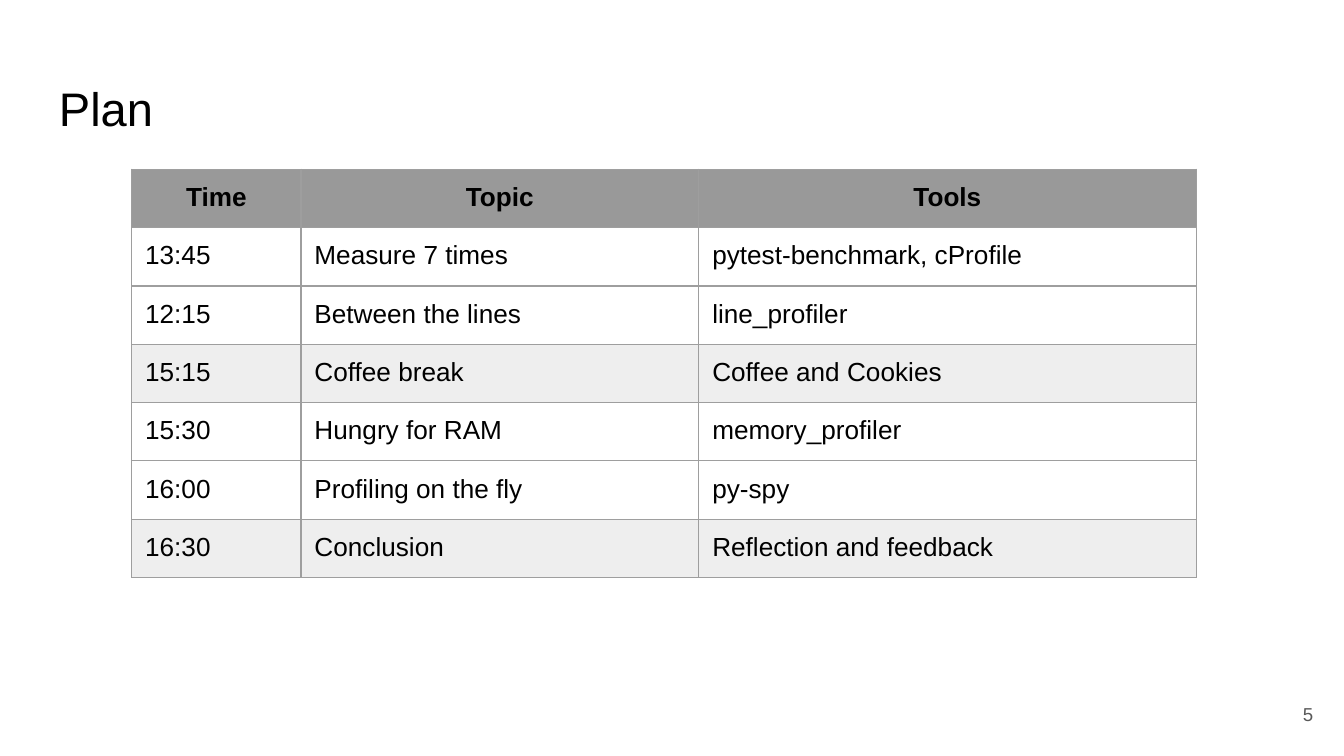
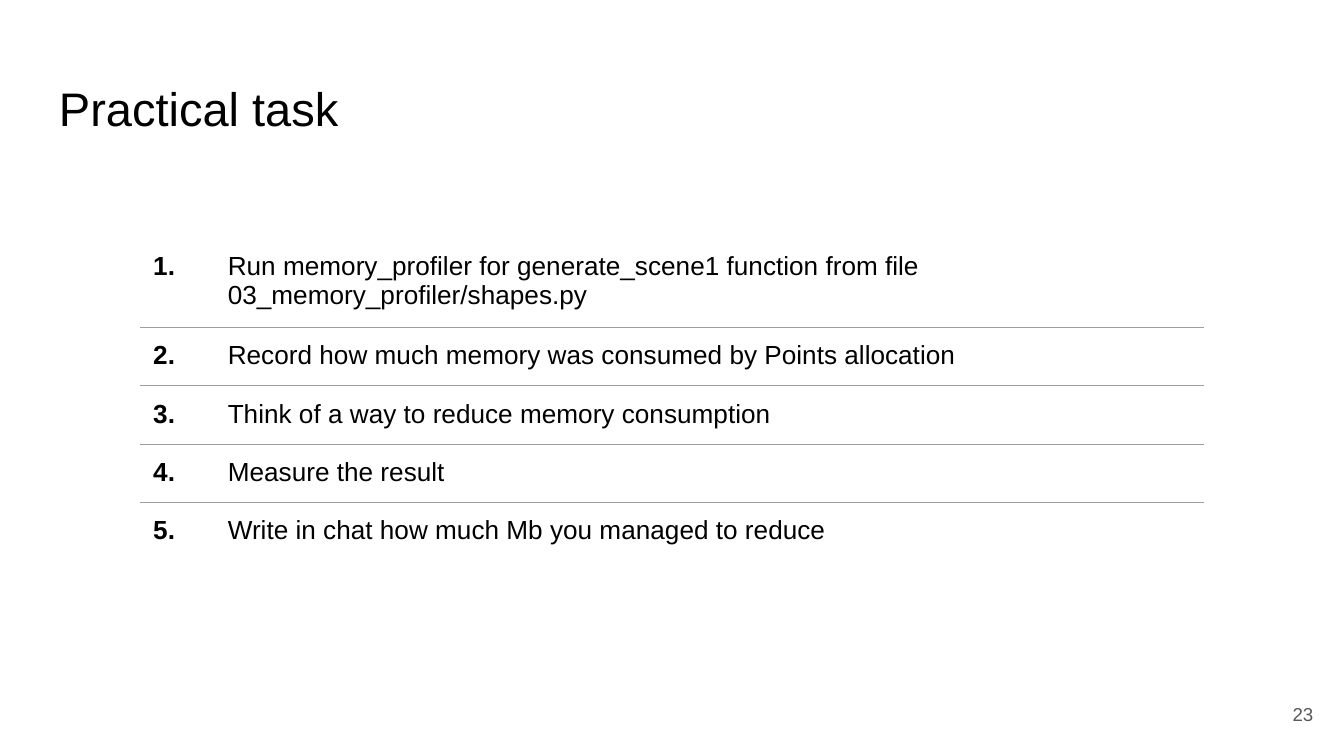
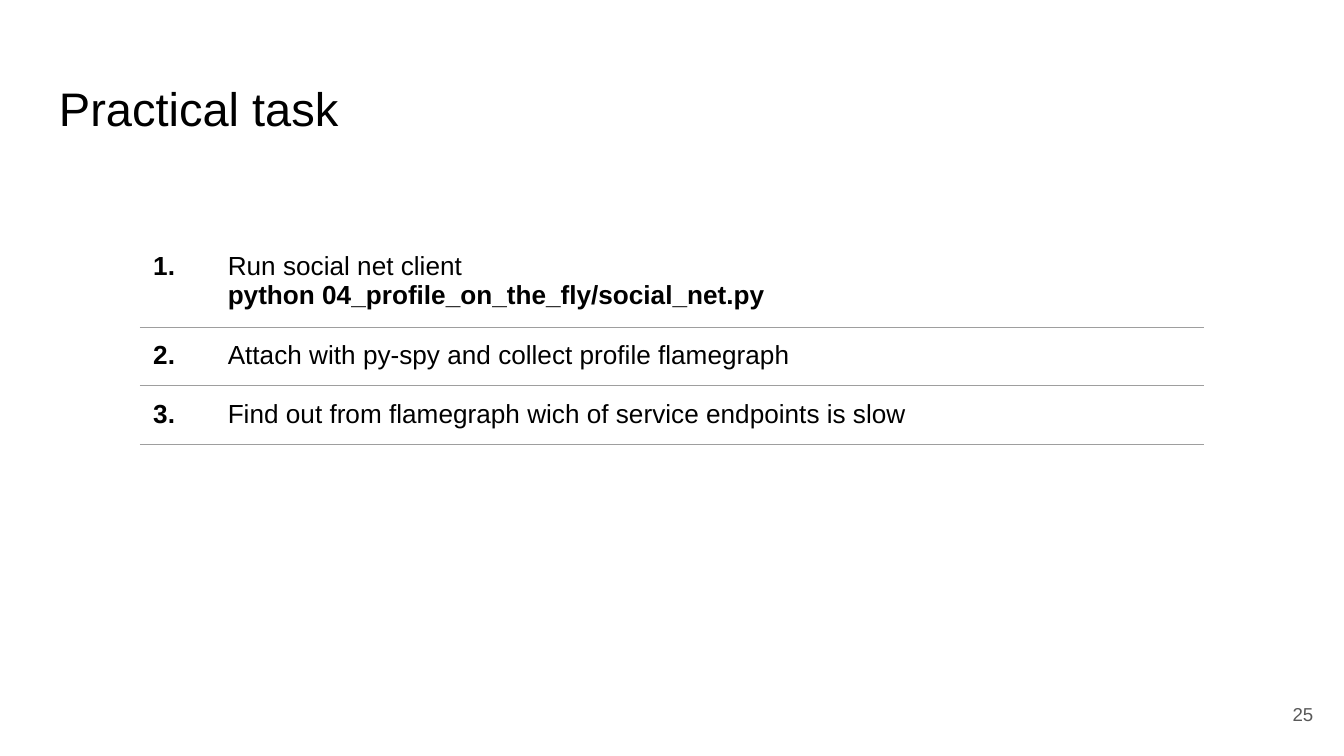
import dataclasses
import typing

import pptx
import pptx.dml.color
import pptx.enum.text
import pptx.oxml
import pptx.oxml.ns
import pptx.util

PX = 4572  # EMU per px, 200 px to the inch
WIDE, HIGH = 2000, 1125
PAD = 20
ROW = 84

BLACK = pptx.dml.color.RGBColor(0x00, 0x00, 0x00)
GREY = pptx.dml.color.RGBColor(0x59, 0x59, 0x59)
RULE = pptx.dml.color.RGBColor(0x9E, 0x9E, 0x9E)
HEAD = pptx.dml.color.RGBColor(0x99, 0x99, 0x99)
PALE = pptx.dml.color.RGBColor(0xEE, 0xEE, 0xEE)

ALIGN = pptx.enum.text.PP_ALIGN
ANCHOR = pptx.enum.text.MSO_ANCHOR
SIDES = ("margin_left", "margin_right", "margin_top", "margin_bottom")


def px(count: int) -> pptx.util.Emu:
    return pptx.util.Emu(count * PX)


PADS = {side: px(PAD) for side in SIDES}


@dataclasses.dataclass(frozen=True)
class Style:
    size: float
    color: pptx.dml.color.RGBColor = BLACK
    bold: bool = False
    align: ALIGN = ALIGN.LEFT


@dataclasses.dataclass(frozen=True)
class Box:
    left: int
    top: int
    width: int
    height: int
    style: Style
    anchor: ANCHOR = ANCHOR.TOP


@dataclasses.dataclass(frozen=True)
class Cell:
    """Each line of text is a pair of wording and style."""
    lines: tuple[tuple[str, Style], ...]
    edges: str
    fill: typing.Optional[pptx.dml.color.RGBColor] = None


@dataclasses.dataclass(frozen=True)
class Grid:
    left: int
    top: int
    cols: tuple[int, ...]
    rows: list[list[Cell]]


BODY = Style(14)
BOLD = Style(14, bold=True)
LABEL = Style(14, bold=True, align=ALIGN.CENTER)
TITLE = Box(68, 98, 1864, 126, Style(25.2))
NUMBER = Box(1854, 1020, 120, 86, Style(10, GREY, align=ALIGN.RIGHT), ANCHOR.MIDDLE)

PLAN = (
    ("Time", "Topic", "Tools"),
    ("13:45", "Measure 7 times", "pytest-benchmark, cProfile"),
    ("12:15", "Between the lines", "line_profiler"),
    ("15:15", "Coffee break", "Coffee and Cookies"),
    ("15:30", "Hungry for RAM", "memory_profiler"),
    ("16:00", "Profiling on the fly", "py-spy"),
    ("16:30", "Conclusion", "Reflection and feedback"),
)
SHADES = {0: HEAD, 3: PALE, 6: PALE}

MEMORY = (
    (("Run memory_profiler for generate_scene1 function from file "
      "03_memory_profiler/shapes.py", BODY),),
    (("Record how much memory was consumed by Points allocation", BODY),),
    (("Think of a way to reduce memory consumption", BODY),),
    (("Measure the result", BODY),),
    (("Write in chat how much Mb you managed to reduce", BODY),),
)
SOCIAL = (
    (("Run social net client", BODY),
     ("python 04_profile_on_the_fly/social_net.py", BOLD)),
    (("Attach with py-spy and collect profile flamegraph", BODY),),
    (("Find out from flamegraph wich of service endpoints is slow", BODY),),
)


def assign(target: typing.Any, values: dict[str, typing.Any]) -> None:
    for name, value in values.items():
        setattr(target, name, value)


def write(frame: typing.Any, lines: tuple[tuple[str, Style], ...]) -> None:
    para = frame.paragraphs[0]
    para.alignment = lines[0][1].align
    for place, (text, style) in enumerate(lines):
        if place:
            para.add_line_break()
        run = para.add_run()
        run.text = text
        assign(run.font, {"name": "Arial", "size": pptx.util.Pt(style.size),
                          "bold": style.bold})
        run.font.color.rgb = style.color


def put(slide: typing.Any, box: Box, text: str) -> None:
    shape = slide.shapes.add_textbox(*map(px, (box.left, box.top, box.width, box.height)))
    frame = shape.text_frame
    assign(frame, {"word_wrap": True, "vertical_anchor": box.anchor, **PADS})
    write(frame, ((text, box.style),))


def edge(cell: typing.Any, shown: str) -> None:
    """Draw the shown sides of a cell and clear the others."""
    props = cell._tc.get_or_add_tcPr()
    space = pptx.oxml.ns.nsdecls("a")
    solid = f'<a:solidFill><a:srgbClr val="{RULE}"/></a:solidFill>'
    for side in "LRTB":
        paint = solid if side in shown else "<a:noFill/>"
        props.append(pptx.oxml.parse_xml(
            f'<a:ln{side} {space} w="{pptx.util.Pt(0.75)}">{paint}</a:ln{side}>'))


def draw(slide: typing.Any, grid: Grid) -> None:
    count = len(grid.rows)
    table = slide.shapes.add_table(
        count, len(grid.cols), px(grid.left), px(grid.top),
        px(sum(grid.cols)), px(ROW * count)).table
    assign(table, {"first_row": False, "horz_banding": False})
    for col, width in zip(table.columns, grid.cols):
        col.width = px(width)
    for row, cells in zip(table.rows, grid.rows):
        row.height = px(ROW)
        for cell, data in zip(row.cells, cells):
            assign(cell, PADS)
            edge(cell, data.edges)
            if data.fill is None:
                cell.fill.background()
            else:
                cell.fill.solid()
                cell.fill.fore_color.rgb = data.fill
            write(cell.text_frame, data.lines)


def agenda() -> Grid:
    rows = [
        [Cell(((text, BODY if place else LABEL),), "LRTB", SHADES.get(place))
         for text in texts]
        for place, texts in enumerate(PLAN)
    ]
    return Grid(196, 252, (252, 592, 740), rows)


def steps(tasks: tuple, closed: bool) -> Grid:
    """Number the tasks and rule between them, and below the last if closed."""
    rows = []
    for place, lines in enumerate(tasks, 1):
        edges = "T" if place > 1 else ""
        if closed or place < len(tasks):
            edges += "B"
        rows.append([Cell(((f"{place}.", BOLD),), edges), Cell(lines, edges)])
    return Grid(208, 354, (111, 1473), rows)


def main() -> None:
    deck = pptx.Presentation()
    assign(deck, {"slide_width": px(WIDE), "slide_height": px(HIGH)})
    pages = (
        ("Plan", 5, agenda()),
        ("Practical task", 23, steps(MEMORY, closed=False)),
        ("Practical task", 25, steps(SOCIAL, closed=True)),
    )
    for title, number, grid in pages:
        slide = deck.slides.add_slide(deck.slide_layouts[6])
        put(slide, TITLE, title)
        draw(slide, grid)
        put(slide, NUMBER, str(number))
    deck.save("out.pptx")


if __name__ == "__main__":
    main()
